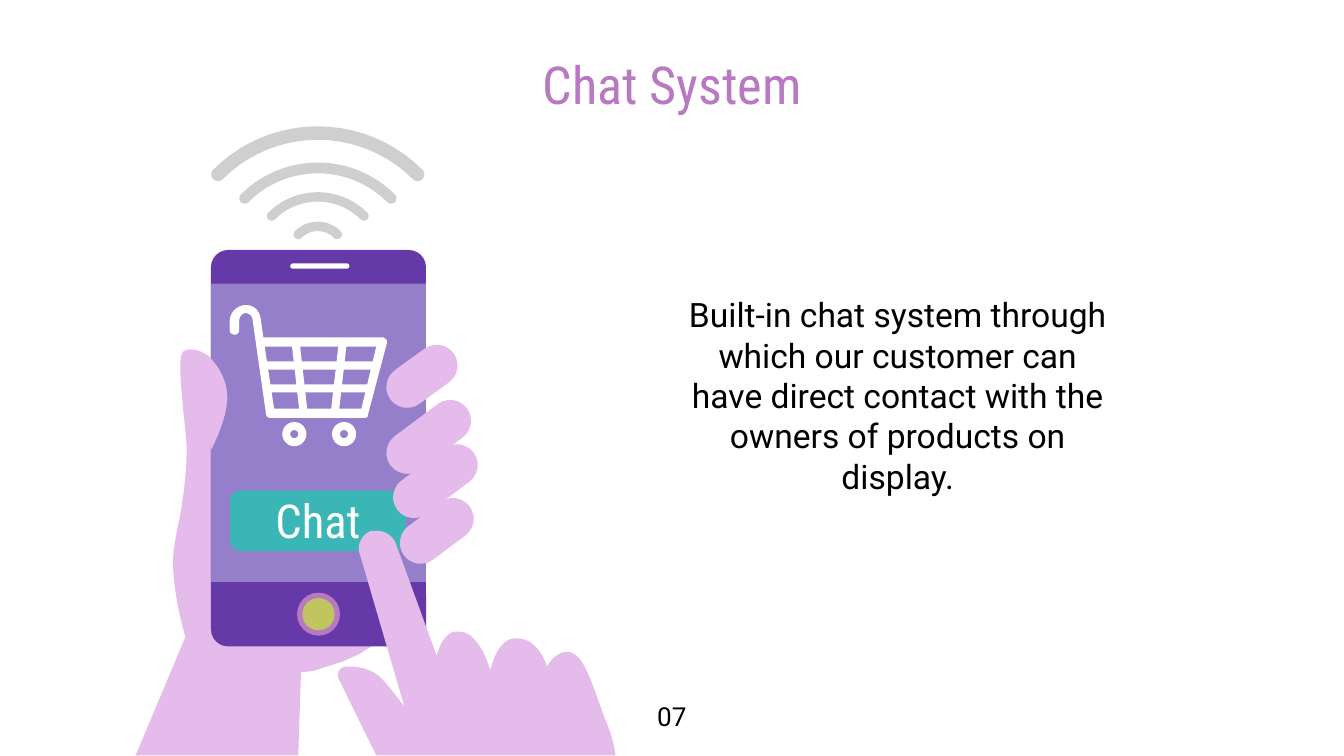
from math import atan2, cos, degrees, hypot, pi, sin

from pptx import Presentation
from pptx.dml.color import RGBColor
from pptx.enum.shapes import MSO_SHAPE as SHAPE
from pptx.enum.text import MSO_ANCHOR as ANCHOR, MSO_AUTO_SIZE as AUTO_SIZE, PP_ALIGN as ALIGN
from pptx.util import Inches, Pt

COLORS = {
    "title": "B878C2", "text": "000000", "white": "FFFFFF", "skin": "E5BBEB",
    "case": "6639A8", "screen": "957FCA", "button": "39B6B5",
    "ring": "B878C2", "dot": "C0C55F", "signal": "CFCFCF",
}
CURVE_STEPS = 10

BACK_HAND = (
    "M 42 0 C 39 0 37 1 36 2 31 6 38 56 39 72 39 109 31 135 30 145 27 160 30 186 38 214 "
    "L 1 302 122 302 124 240 C 129 240 135 239 140 237 192 224 201 191 201 191 "
    "201 191 89 99 77 48 68 9 52 0 42 0"
)
THUMB = "M 55 5 L 52 33 57 75 C 57 75 71 49 69 32 67 15 55 5 55 5"
POINTING_HAND = (
    "M 31 0 C 29 0 28 0 26 0 19 3 15 11 18 18 L 51 131 C 45 123 39 115 34 110 "
    "27 103 18 101 10 101 9 101 9 101 8 101 3 101 0 106 2 110 8 122 19 145 30 167 "
    "L 208 167 C 207 159 205 152 203 147 194 126 187 95 176 91 174 90 173 90 172 90 "
    "163 90 157 101 157 101 157 101 151 80 135 80 134 80 133 80 132 80 "
    "119 82 115 104 115 104 115 104 107 75 92 75 90 75 89 75 88 75 "
    "81 77 77 85 75 93 L 44 8 C 41 3 36 0 31 0"
)
CART_FRAME = (
    "M 109 31 L 98 77 33 77 26 31 "
    "M 12 0 C 6 0 0 5 0 12 L 0 19 C 0 21 2 22 4 22 5 22 7 21 7 19 "
    "L 7 12 C 7 9 9 6 12 6 14 6 17 8 17 11 L 27 81 C 27 83 29 84 30 84 "
    "L 100 84 C 102 84 103 83 103 81 L 117 28 C 117 27 117 26 116 25 "
    "115 25 115 24 114 24 L 25 24 23 10 C 22 4 18 0 12 0"
)


def paint(shape, color):
    shape.shadow.inherit = False
    shape.fill.solid()
    shape.fill.fore_color.rgb = RGBColor.from_string(COLORS[color])
    shape.line.fill.background()
    return shape


def add_preset(slide, kind, box, color, adjustment=None):
    shape = slide.shapes.add_shape(kind, *map(Inches, box))
    if adjustment is not None:
        shape.adjustments[0] = adjustment
    return paint(shape, color)


def add_circle(slide, x, y, diameter, color, kind=SHAPE.OVAL, adjustment=None):
    box = (x - diameter / 2, y - diameter / 2, diameter, diameter)
    return add_preset(slide, kind, box, color, adjustment)


def add_capsule(slide, start, end, thickness, color):
    across, down = end[0] - start[0], end[1] - start[1]
    length = hypot(across, down) + thickness
    left = (start[0] + end[0] - length) / 2
    top = (start[1] + end[1] - thickness) / 2
    box = (left, top, length, thickness)
    shape = add_preset(slide, SHAPE.ROUNDED_RECTANGLE, box, color, 0.5)
    shape.rotation = degrees(atan2(down, across))


def bezier(points):
    for step in range(1, CURVE_STEPS + 1):
        t = step / CURVE_STEPS
        weights = ((1 - t) ** 3, 3 * t * (1 - t) ** 2, 3 * t * t * (1 - t), t ** 3)
        yield tuple(sum(w * p[axis] for w, p in zip(weights, points)) for axis in (0, 1))


def trace(outline):
    contours = []
    command, pending, numbers = "", [], []
    for token in outline.split():
        if token in "MLC":
            command = token
            continue
        numbers.append(int(token) / 100)
        if len(numbers) < 2:
            continue
        pending.append(tuple(numbers))
        numbers = []
        if command == "M":
            contours.append(pending)
        elif command == "L":
            contours[-1].extend(pending)
        elif len(pending) < 3:
            continue
        else:
            contours[-1].extend(bezier([contours[-1][-1], *pending]))
        pending = []
    return contours


def add_outline(slide, left, top, contours, color):
    placed = [[(Inches(left + x), Inches(top + y)) for x, y in c] for c in contours]
    builder = slide.shapes.build_freeform(*placed[0][0], scale=1.0)
    for index, contour in enumerate(placed):
        if index:
            builder.move_to(*contour[0])
        builder.add_line_segments(contour[1:], close=True)
    paint(builder.convert_to_shape(), color)


def write_text(shape, text, size, font, color, anchor=ANCHOR.MIDDLE):
    frame = shape.text_frame
    margins = {f"margin_{side}": Inches(0.1) for side in ("left", "top", "right", "bottom")}
    settings = {"word_wrap": True, "auto_size": AUTO_SIZE.NONE, "vertical_anchor": anchor}
    for name, value in {**margins, **settings}.items():
        setattr(frame, name, value)
    paragraph = frame.paragraphs[0]
    paragraph.alignment = ALIGN.CENTER
    run = paragraph.add_run()
    run.text = text
    for name, value in {"size": Pt(size), "name": font, "bold": False}.items():
        setattr(run.font, name, value)
    run.font.color.rgb = RGBColor.from_string(COLORS[color])


def add_text(slide, box, *content, **options):
    write_text(slide.shapes.add_textbox(*map(Inches, box)), *content, **options)


def add_title(slide, box, text):
    title = slide.shapes.title
    for name, value in zip(("left", "top", "width", "height"), box):
        setattr(title, name, Inches(value))
    write_text(title, text, 28, "Roboto Condensed", "title")


def add_phone(slide, box):
    left, top, width, height = box
    middle = left + width / 2
    add_preset(slide, SHAPE.ROUNDED_RECTANGLE, box, "case", 0.08)
    add_preset(slide, SHAPE.RECTANGLE, (left, top + 0.25, width, 2.22), "screen")
    add_capsule(slide, (middle - 0.19, top + 0.12), (middle + 0.21, top + 0.12), 0.04, "white")
    add_circle(slide, middle, top + 2.71, 0.32, "ring")
    add_circle(slide, middle, top + 2.71, 0.24, "dot")
    add_preset(slide, SHAPE.ROUNDED_RECTANGLE, (left + 0.14, top + 1.79, 1.31, 0.45), "button", 0.18)


def add_cart(slide, box):
    left, top, width, height = box
    add_outline(slide, left, top, trace(CART_FRAME), "white")
    bars = (
        ((0.49, 0.28), (0.55, 0.81)), ((0.84, 0.28), (0.78, 0.81)),
        ((0.28, 0.45), (1.06, 0.45)), ((0.30, 0.62), (1.04, 0.62)),
    )
    for bar in bars:
        start, end = [(left + x, top + y) for x, y in bar]
        add_capsule(slide, start, end, 0.06, "white")
    for x in (0.48, 0.85):
        add_circle(slide, left + x, top + height - 0.09, 0.18, "white", SHAPE.DONUT, 0.33)


def add_grip(slide, box):
    left, top, width, height = box
    fingers = ((2.19, 0.65, 0.16, 0.12), (2.24, 0.98, 0.16, 0.12),
               (2.25, 1.35, 0.12, 0.09), (2.14, 0.20, 0.11, 0.08))
    for x, y, across, down in fingers:
        start = (left + x - across, top + y + down)
        end = (left + x + across, top + y - down)
        add_capsule(slide, start, end, 0.31, "skin")
    add_outline(slide, left, top, trace(THUMB), "skin")


def add_signal(slide, box):
    left, top, width, height = box
    waves = ((0, 1.10, 0.10), (0.27, 0.81, 0.08), (0.49, 0.52, 0.07), (0.71, 0.24, 0.07))
    for offset, radius, thickness in waves:
        half = thickness / 2
        spine = radius - half

        def arc(distance, start, end, x=0.0, y=radius):
            angles = [start + (end - start) * i / 20 for i in range(21)]
            return [(x + distance * cos(a), y + distance * sin(a)) for a in angles]

        reach = spine * sin(pi / 4)
        points = arc(radius, -3 * pi / 4, -pi / 4)
        points += arc(half, -pi / 4, 3 * pi / 4, reach, radius - reach)
        points += arc(radius - thickness, -pi / 4, -3 * pi / 4)
        points += arc(half, pi / 4, 5 * pi / 4, -reach, radius - reach)
        add_outline(slide, left + width / 2, top + offset, [points], "signal")


def main():
    presentation = Presentation()
    presentation.slide_width = Inches(10)
    presentation.slide_height = presentation.slide_width * 9 // 16
    slide = presentation.slides.add_slide(presentation.slide_layouts[5])
    add_title(slide, (2.75, 0.45, 4.5, 0.35), "Chat System")
    hand = (1, 2.6, 2.57, 3.02)
    add_outline(slide, *hand[:2], trace(BACK_HAND), "skin")
    add_phone(slide, (1.57, 1.86, 1.6, 2.95))
    add_cart(slide, (1.71, 2.27, 1.16, 1.05))
    add_grip(slide, hand)
    add_signal(slide, (1.56, 0.94, 1.61, 0.84))
    add_outline(slide, 2.5, 3.95, trace(POINTING_HAND), "skin")
    add_text(slide, (1.72, 3.67, 1.29, 0.39), "Chat", 25, "Roboto Condensed", "white")
    message = ("Built-in chat system through which our customer can have direct contact "
               "with the owners of products on display.")
    add_text(slide, (5, 1.86, 3.36, 2.16), message, 18, "Roboto", "text")
    add_text(slide, (4.71, 5.11, 0.58, 0.44), "07", 14, "Roboto", "text", anchor=ANCHOR.TOP)
    presentation.save("out.pptx")


if __name__ == "__main__":
    main()
